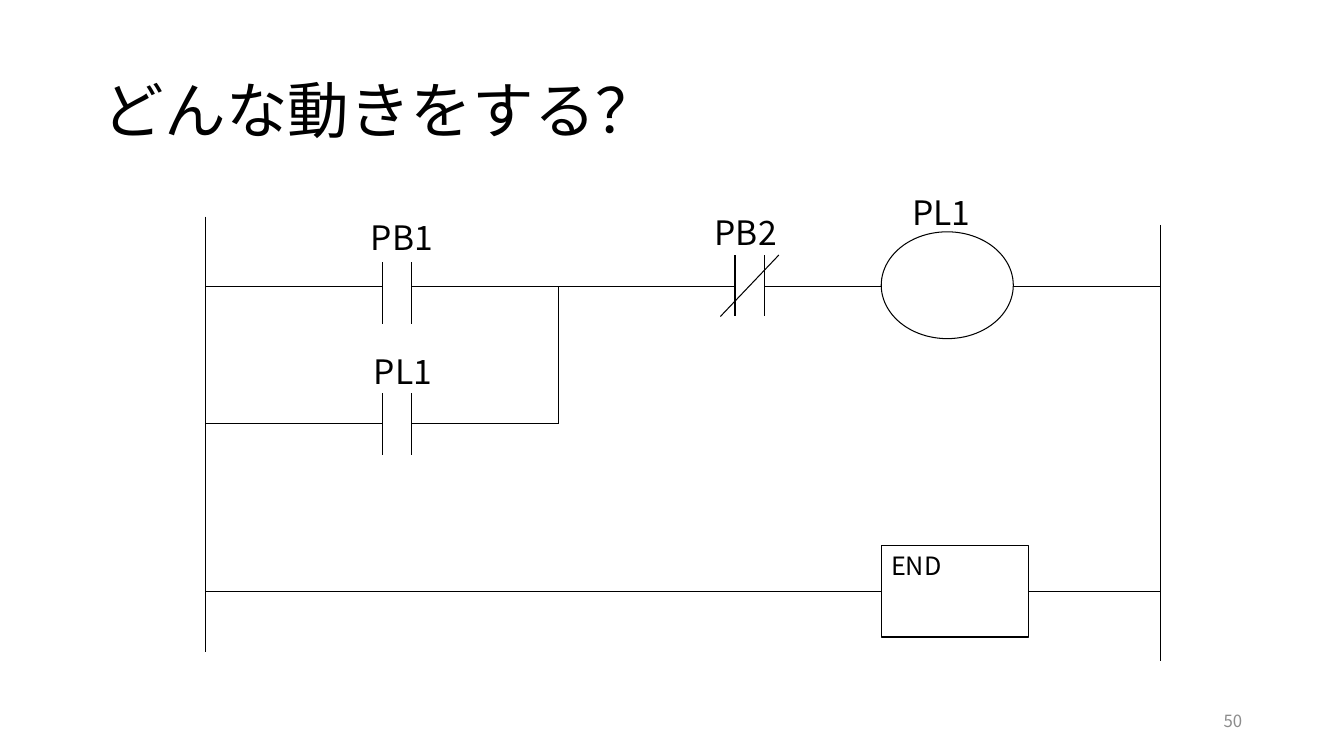
from dataclasses import dataclass

import pptx
import pptx.dml.color
import pptx.enum.shapes
import pptx.enum.text
import pptx.oxml
import pptx.oxml.ns
import pptx.util

Inches = pptx.util.Inches
Pt = pptx.util.Pt
SHAPE = pptx.enum.shapes.MSO_SHAPE
ANCHOR = pptx.enum.text.MSO_ANCHOR
ALIGN = pptx.enum.text.PP_ALIGN
FONT = "Noto Sans CJK JP"
BLACK, WHITE, GREY = "000000", "FFFFFF", "8C8C8C"
LEFT_RAIL, RIGHT_RAIL = 2.04, 11.51
RUNG, BRANCH, END_RUNG = 2.84, 4.2, 5.87
PB1_X, PB2_X, OUTPUT_X = 3.79, 7.29, 8.74
JOIN_X = 5.54
GAP, CONTACT_HEIGHT = 0.29, 0.61


@dataclass
class Line:
    x1: float
    y1: float
    x2: float
    y2: float


@dataclass
class Contact:
    x: float
    top: float
    closed: bool = False


@dataclass
class Label:
    text: str
    left: float
    top: float
    width: float
    height: float = 0.51
    size: int = 24
    color: str = BLACK
    align: ALIGN = ALIGN.LEFT
    anchor: ANCHOR = ANCHOR.TOP


@dataclass
class Output:
    kind: SHAPE
    top: float
    width: float
    height: float
    text: str = ""


WIRES = [
    Line(LEFT_RAIL, 2.15, LEFT_RAIL, 6.47),
    Line(RIGHT_RAIL, 2.23, RIGHT_RAIL, 6.56),
    Line(LEFT_RAIL, RUNG, PB1_X, RUNG),
    Line(PB1_X + GAP, RUNG, PB2_X, RUNG),
    Line(PB2_X + GAP, RUNG, OUTPUT_X, RUNG),
    Line(10.05, RUNG, RIGHT_RAIL, RUNG),
    Line(LEFT_RAIL, BRANCH, PB1_X, BRANCH),
    Line(PB1_X + GAP, BRANCH, JOIN_X, BRANCH),
    Line(JOIN_X, BRANCH, JOIN_X, RUNG),
    Line(LEFT_RAIL, END_RUNG, OUTPUT_X, END_RUNG),
    Line(10.2, END_RUNG, RIGHT_RAIL, END_RUNG),
]
CONTACTS = [Contact(PB1_X, 2.6), Contact(PB1_X, 3.9), Contact(PB2_X, 2.53, True)]
OUTPUTS = [
    Output(SHAPE.OVAL, 2.3, 1.31, 1.06),
    Output(SHAPE.RECTANGLE, 5.41, 1.46, 0.91, "END"),
]
LABELS = [
    Label("PB1", 3.58, 2.1, 1.04),
    Label("PL1", 8.95, 1.85, 0.9),
    Label("PL1", 3.61, 3.43, 1.2),
    Label("PB2", 6.99, 2.05, 1.02),
    Label("50", 9.42, 6.95, 3, 0.4, 12, GREY, ALIGN.RIGHT, ANCHOR.MIDDLE),
]


def rgb(color: str) -> pptx.dml.color.RGBColor:
    return pptx.dml.color.RGBColor.from_string(color)


def set_all(obj, values: dict) -> None:
    for name, value in values.items():
        setattr(obj, name, value)


def write(tf, text: str, size: int, color: str = BLACK,
          align: ALIGN = ALIGN.LEFT, anchor: ANCHOR = ANCHOR.TOP) -> None:
    set_all(tf, {"word_wrap": True, "vertical_anchor": anchor,
                 "auto_size": pptx.enum.text.MSO_AUTO_SIZE.NONE})
    p = tf.paragraphs[0]
    p.alignment = align
    r = p.add_run()
    r.text = text
    set_all(r.font, {"name": FONT, "size": Pt(size)})
    r.font.color.rgb = rgb(color)
    ea = pptx.oxml.parse_xml(
        f'<a:ea {pptx.oxml.ns.nsdecls("a")} typeface="{FONT}"/>')
    r.font._element.find(pptx.oxml.ns.qn("a:latin")).addnext(ea)


def outline(line) -> None:
    line.color.rgb = rgb(BLACK)
    line.width = Pt(0.75)


def draw_line(s, item: Line) -> None:
    sp = s.shapes.add_connector(
        pptx.enum.shapes.MSO_CONNECTOR.STRAIGHT,
        Inches(item.x1), Inches(item.y1), Inches(item.x2), Inches(item.y2))
    outline(sp.line)
    sp._element.spPr.append(
        pptx.oxml.parse_xml(f'<a:effectLst {pptx.oxml.ns.nsdecls("a")}/>'))


def draw_contact(s, item: Contact) -> None:
    bottom = item.top + CONTACT_HEIGHT
    for x in (item.x, item.x + GAP):
        draw_line(s, Line(x, item.top, x, bottom))
    if item.closed:
        draw_line(s, Line(item.x + 1.5 * GAP, item.top, item.x - GAP / 2, bottom))


def draw_output(s, item: Output) -> None:
    sp = s.shapes.add_shape(item.kind, Inches(OUTPUT_X), Inches(item.top),
                            Inches(item.width), Inches(item.height))
    sp.shadow.inherit = False
    sp.fill.solid()
    sp.fill.fore_color.rgb = rgb(WHITE)
    outline(sp.line)
    if item.text:
        write(sp.text_frame, item.text, 18)


def draw_label(s, item: Label) -> None:
    sp = s.shapes.add_textbox(Inches(item.left), Inches(item.top),
                              Inches(item.width), Inches(item.height))
    write(sp.text_frame, item.text, item.size, item.color, item.align, item.anchor)


def main() -> None:
    prs = pptx.Presentation()
    set_all(prs, {"slide_width": Inches(13.33), "slide_height": Inches(7.5)})
    s = prs.slides.add_slide(prs.slide_layouts[5])
    title = s.shapes.title
    set_all(title, {"left": Inches(0.92), "top": Inches(0.4),
                    "width": Inches(11.5), "height": Inches(1.45)})
    write(title.text_frame, "どんな動きをする？", 44, anchor=ANCHOR.MIDDLE)
    title.text_frame.paragraphs[0].line_spacing = 0.9
    for draw, items in ((draw_line, WIRES), (draw_contact, CONTACTS),
                        (draw_output, OUTPUTS), (draw_label, LABELS)):
        for item in items:
            draw(s, item)
    prs.save("out.pptx")


if __name__ == "__main__":
    main()
